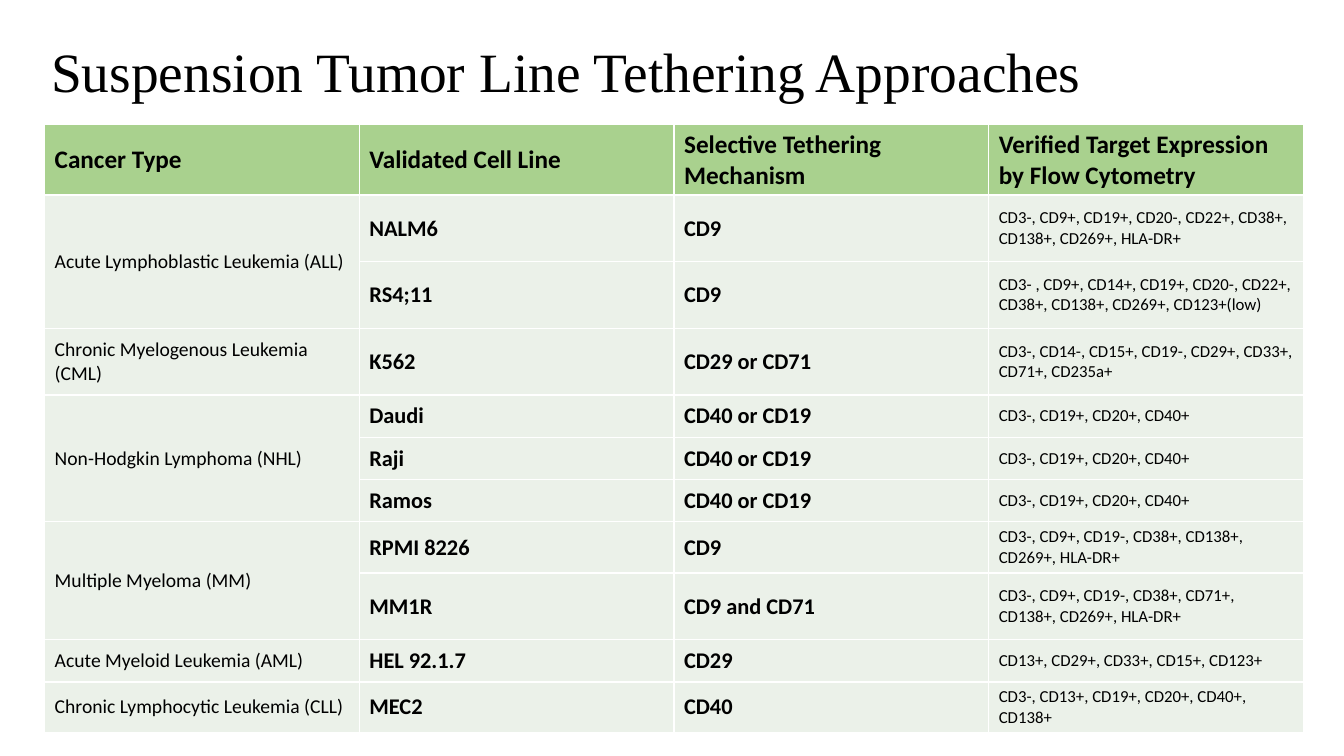
from dataclasses import dataclass

from lxml.etree import SubElement
from pptx import Presentation
from pptx.dml.color import RGBColor
from pptx.enum.text import MSO_ANCHOR
from pptx.oxml.ns import qn
from pptx.slide import Slide
from pptx.table import Table, _Cell
from pptx.text.text import _Paragraph
from pptx.util import Pt


@dataclass(frozen=True)
class Theme:
    title_font: str = "Times New Roman"
    table_font: str = "Calibri"
    ink: str = "000000"
    header_fill: str = "A9D18E"
    body_fill: str = "EBF1E9"
    rule: str = "FFFFFF"
    rule_width: float = 1
    title_size: float = 39.6
    header_size: float = 18
    cancer_size: float = 14
    line_size: float = 16
    marker_size: float = 12


@dataclass(frozen=True)
class CellLine:
    name: str
    tether: str
    markers: str
    height: float


@dataclass(frozen=True)
class Cancer:
    name: str
    lines: tuple[CellLine, ...]


@dataclass(frozen=True)
class TextStyle:
    font: str
    size: float
    bold: bool = False


THEME = Theme()
TALL, MEDIUM, SHORT = 47.6, 36.7, 30.2
COLUMN_WIDTH = 224.8
TITLE = "Suspension Tumor Line Tethering Approaches"
HEADINGS = (
    "Cancer Type",
    "Validated Cell Line",
    "Selective Tethering Mechanism",
    "Verified Target Expression by Flow Cytometry",
)
LYMPHOMA_MARKERS = "CD3-, CD19+, CD20+, CD40+"
CANCERS = (
    Cancer("Acute Lymphoblastic Leukemia (ALL)", (
        CellLine("NALM6", "CD9",
                 "CD3-, CD9+, CD19+, CD20-, CD22+, CD38+, CD138+, CD269+, HLA-DR+", TALL),
        CellLine("RS4;11", "CD9",
                 "CD3- , CD9+, CD14+, CD19+, CD20-, CD22+, CD38+, CD138+, CD269+, CD123+(low)",
                 TALL),
    )),
    Cancer("Chronic Myelogenous Leukemia (CML)", (
        CellLine("K562", "CD29 or CD71",
                 "CD3-, CD14-, CD15+, CD19-, CD29+, CD33+, CD71+, CD235a+", TALL),
    )),
    Cancer("Non-Hodgkin Lymphoma (NHL)", tuple(
        CellLine(name, "CD40 or CD19", LYMPHOMA_MARKERS, SHORT)
        for name in ("Daudi", "Raji", "Ramos")
    )),
    Cancer("Multiple Myeloma (MM)", (
        CellLine("RPMI 8226", "CD9",
                 "CD3-, CD9+, CD19-, CD38+, CD138+, CD269+, HLA-DR+", MEDIUM),
        CellLine("MM1R", "CD9 and CD71",
                 "CD3-, CD9+, CD19-, CD38+, CD71+, CD138+, CD269+, HLA-DR+", TALL),
    )),
    Cancer("Acute Myeloid Leukemia (AML)", (
        CellLine("HEL 92.1.7", "CD29", "CD13+, CD29+, CD33+, CD15+, CD123+", SHORT),
    )),
    Cancer("Chronic Lymphocytic Leukemia (CLL)", (
        CellLine("MEC2", "CD40", "CD3-, CD13+, CD19+, CD20+, CD40+, CD138+", SHORT),
    )),
)

TITLE_STYLE = TextStyle(THEME.title_font, THEME.title_size)
HEADER_STYLE = TextStyle(THEME.table_font, THEME.header_size, True)
CANCER_STYLE = TextStyle(THEME.table_font, THEME.cancer_size)
LINE_STYLE = TextStyle(THEME.table_font, THEME.line_size, True)
MARKER_STYLE = TextStyle(THEME.table_font, THEME.marker_size)


def add_span(para: _Paragraph, text: str, style: TextStyle) -> None:
    span = para.add_run()
    span.text = text
    span.font.name = style.font
    span.font.size = Pt(style.size)
    span.font.bold = style.bold
    span.font.color.rgb = RGBColor.from_string(THEME.ink)


def format_cell(cell: _Cell, fill: str) -> None:
    # Borders come before the fill in the cell properties
    properties = cell._tc.get_or_add_tcPr()
    for side in ("a:lnL", "a:lnR", "a:lnT", "a:lnB"):
        border = SubElement(properties, qn(side), w=str(Pt(THEME.rule_width)))
        paint = SubElement(border, qn("a:solidFill"))
        SubElement(paint, qn("a:srgbClr"), val=THEME.rule)
    cell.fill.solid()
    cell.fill.fore_color.rgb = RGBColor.from_string(fill)
    cell.vertical_anchor = MSO_ANCHOR.MIDDLE


def write_cell(cell: _Cell, text: str, style: TextStyle) -> None:
    add_span(cell.text_frame.paragraphs[0], text, style)


def add_title(page: Slide) -> None:
    box = page.shapes.add_textbox(Pt(29.5), Pt(18.7), Pt(828), Pt(69.8))
    frame = box.text_frame
    frame.word_wrap = True
    frame.vertical_anchor = MSO_ANCHOR.MIDDLE
    para = frame.paragraphs[0]
    para.line_spacing = 0.9
    add_span(para, TITLE, TITLE_STYLE)


def fill_body(table: Table) -> None:
    row = 1
    for cancer in CANCERS:
        first = table.cell(row, 0)
        if len(cancer.lines) > 1:
            first.merge(table.cell(row + len(cancer.lines) - 1, 0))
        write_cell(first, cancer.name, CANCER_STYLE)
        for line in cancer.lines:
            table.rows[row].height = Pt(line.height)
            write_cell(table.cell(row, 1), line.name, LINE_STYLE)
            write_cell(table.cell(row, 2), line.tether, LINE_STYLE)
            write_cell(table.cell(row, 3), line.markers, MARKER_STYLE)
            row += 1


def add_cell_line_table(page: Slide) -> None:
    heights = [TALL] + [line.height for cancer in CANCERS for line in cancer.lines]
    table = page.shapes.add_table(
        len(heights), len(HEADINGS), Pt(31.9), Pt(88.9),
        Pt(COLUMN_WIDTH * len(HEADINGS)), Pt(sum(heights)),
    ).table
    table.first_row = False
    table.horz_banding = False
    for column in table.columns:
        column.width = Pt(COLUMN_WIDTH)
    for index, row in enumerate(table.rows):
        for cell in row.cells:
            format_cell(cell, THEME.body_fill if index else THEME.header_fill)

    # Header row
    table.rows[0].height = Pt(TALL)
    for cell, heading in zip(table.rows[0].cells, HEADINGS):
        write_cell(cell, heading, HEADER_STYLE)

    # One block of rows per cancer type
    fill_body(table)


def main() -> None:
    deck = Presentation()
    deck.slide_width, deck.slide_height = Pt(960), Pt(540)
    page = deck.slides.add_slide(deck.slide_layouts[6])
    add_title(page)
    add_cell_line_table(page)
    deck.save("out.pptx")


if __name__ == "__main__":
    main()
